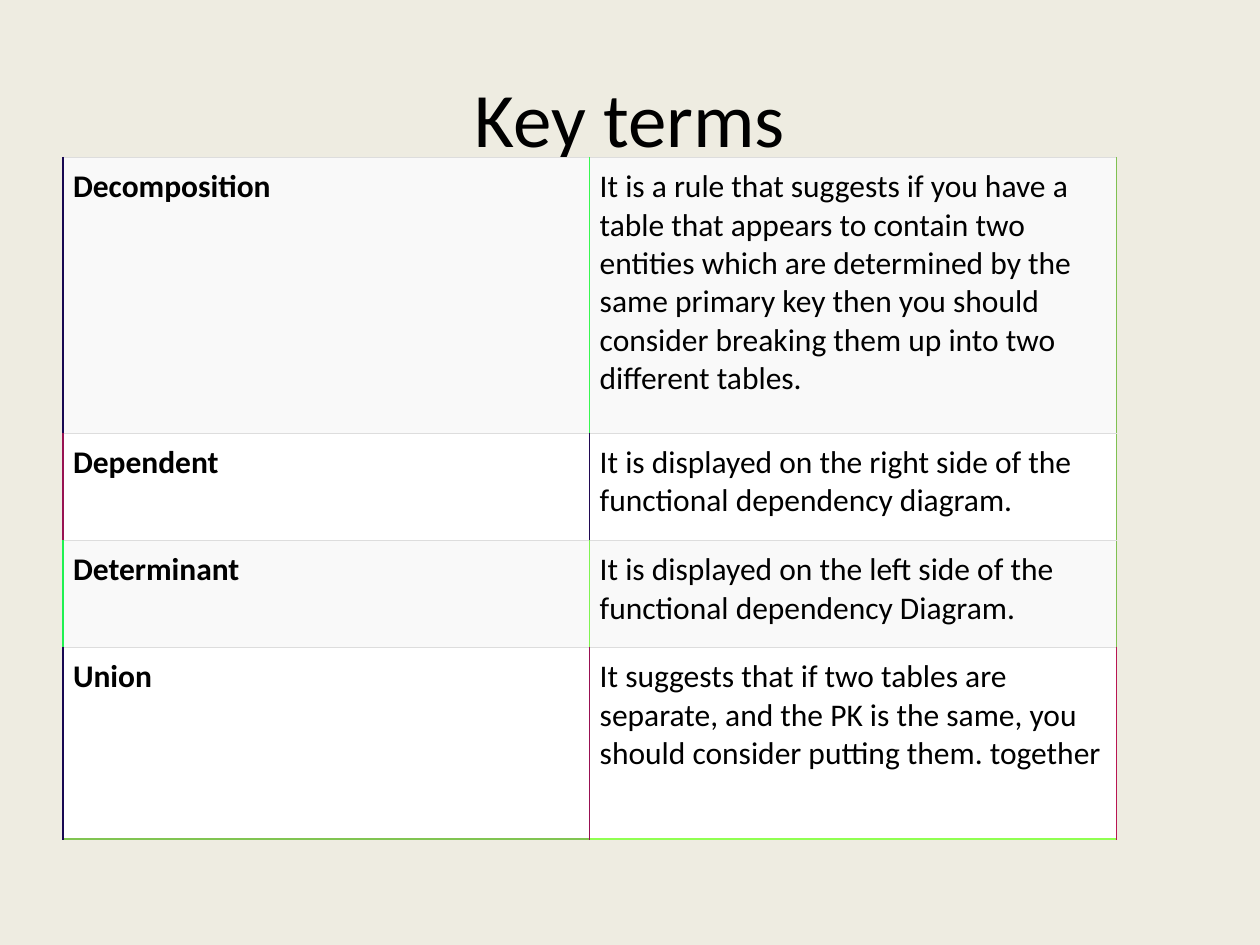
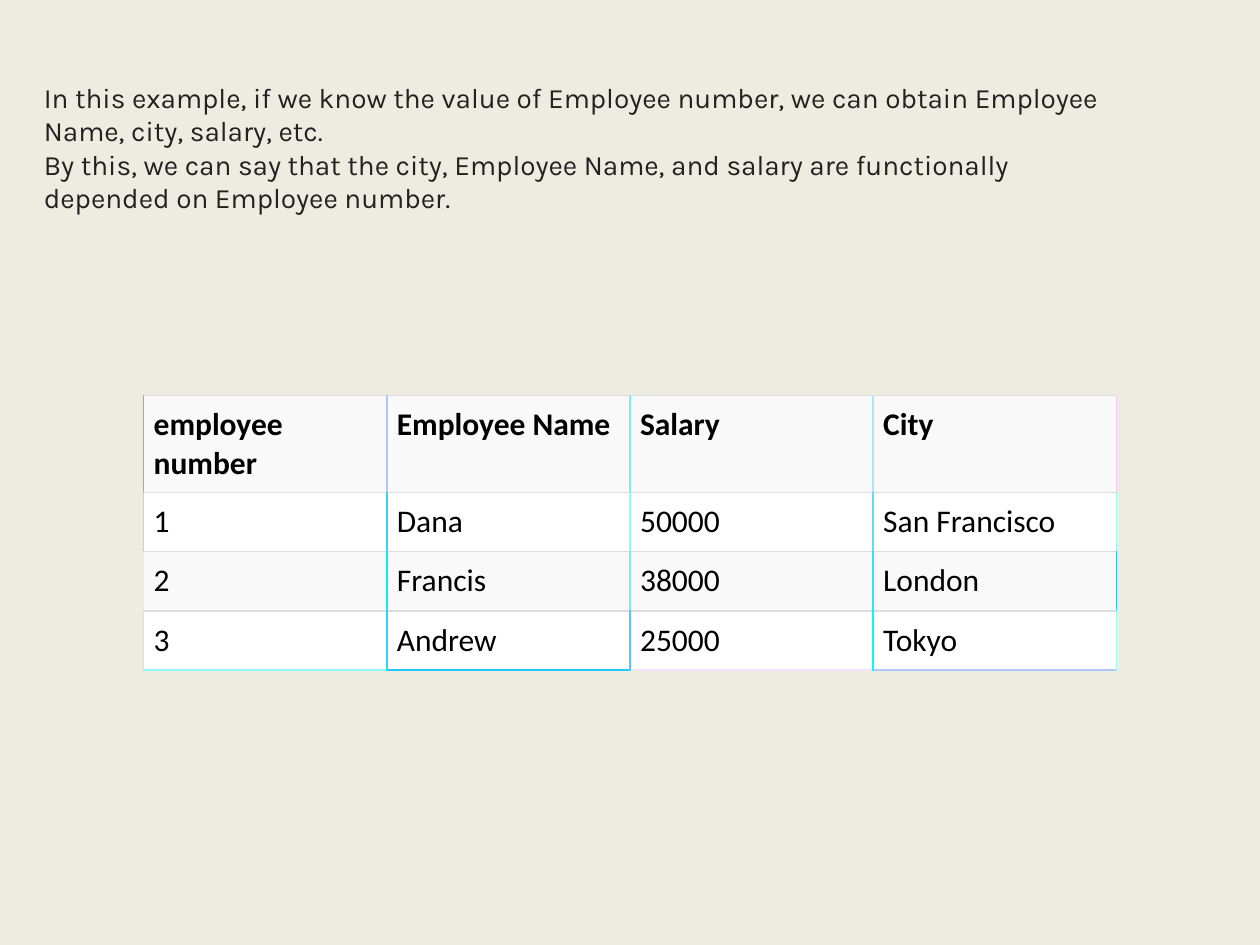
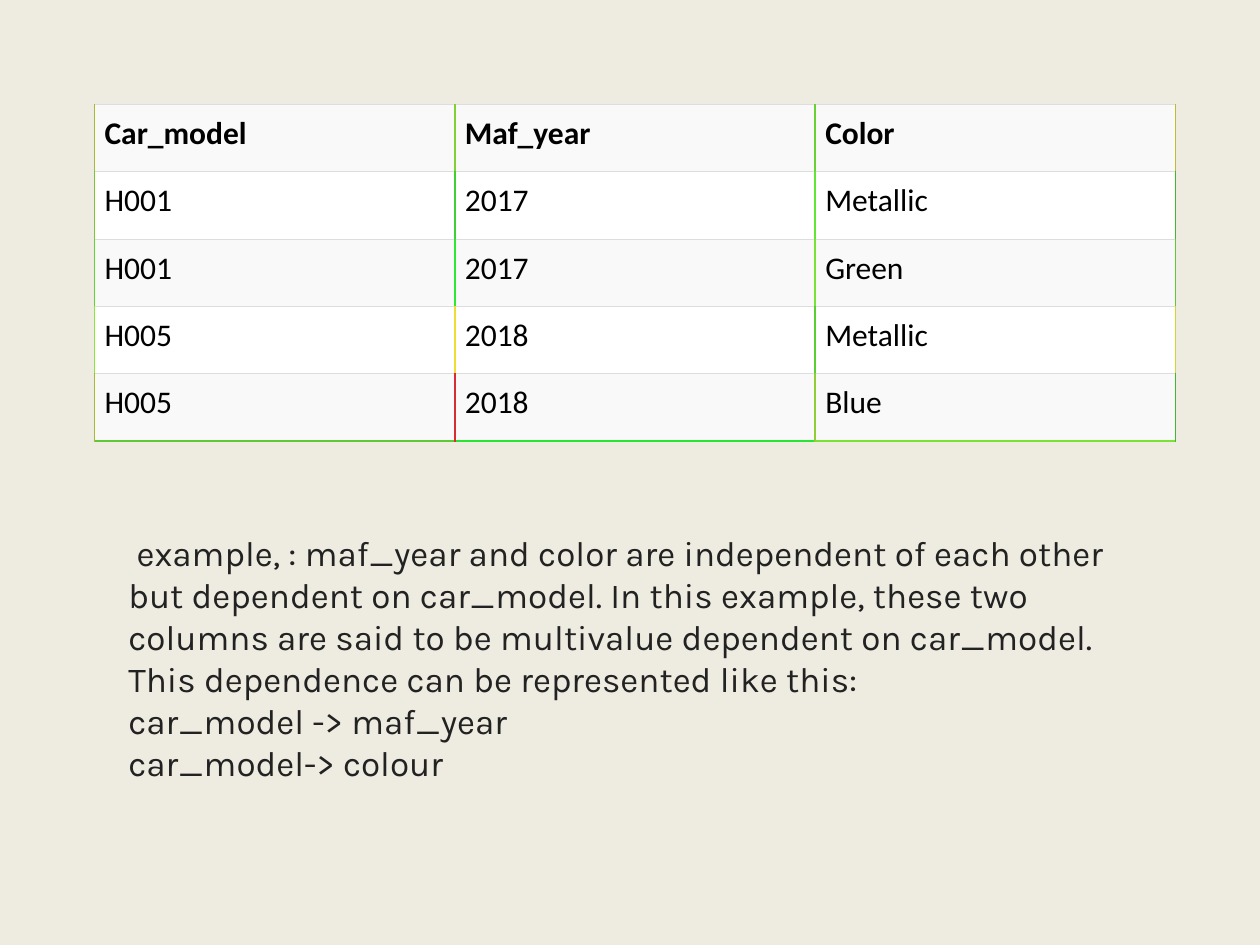
from dataclasses import dataclass
from lxml.etree import SubElement
from pptx import Presentation
from pptx.dml.color import RGBColor as Rgb
from pptx.enum.text import MSO_ANCHOR as Anchor, PP_ALIGN as Align
from pptx.oxml.ns import qn
from pptx.util import Inches, Pt


@dataclass(frozen=True)
class Theme:
    back: str = "EEECE1"
    ink: str = "000000"
    soft: str = "222222"
    rule: str = "DDDDDD"
    bands: tuple = ("F9F9F9", "FFFFFF")
    main: str = "Calibri"
    prose: str = "Karla"
    title: int = 44
    body: int = 18
    large: int = 20
    small: int = 16
    inset: float = 0.08
    thin: float = 0.75
    edge: float = 1


look = Theme()


def write(frame, text, size=look.body, font=look.main, color=look.ink,
          bold=False, align=Align.LEFT, anchor=Anchor.TOP):
    frame.word_wrap = True
    frame.vertical_anchor = anchor
    for i, line in enumerate(text.split("\n")):
        para = frame.paragraphs[0] if i == 0 else frame.add_paragraph()
        para.alignment = align
        run = para.add_run()
        run.text = line
        run.font.size = Pt(size)
        run.font.name = font
        run.font.bold = bold
        run.font.color.rgb = Rgb.from_string(color)


def label(slide, box, text, **form):
    shape = slide.shapes.add_textbox(*map(Inches, box))
    write(shape.text_frame, text, **form)


def border(cell, side, color, width):
    line = SubElement(cell._tc.get_or_add_tcPr(), qn(f"a:ln{side}"), w=str(Pt(width)))
    fill = SubElement(line, qn("a:solidFill"))
    SubElement(fill, qn("a:srgbClr"), val=color)


def grid(slide, box, rows, highs, sides, base, heads):
    count = len(rows[0])
    table = slide.shapes.add_table(len(rows), count, *map(Inches, box)).table
    table.first_row = table.horz_banding = False
    for col in table.columns:
        col.width = Inches(box[2] / count)
    for r, (row, high, side) in enumerate(zip(rows, highs, sides)):
        table.rows[r].height = Inches(high)
        edges = side.split()
        last = r == len(rows) - 1
        for c, text in enumerate(row):
            cell = table.cell(r, c)
            cell.margin_left = cell.margin_right = Inches(look.inset)
            cell.margin_top = cell.margin_bottom = Inches(look.inset)
            border(cell, "L", edges[c], look.edge)
            border(cell, "R", edges[c + 1], look.edge)
            border(cell, "T", look.rule, look.thin)
            if last:
                border(cell, "B", base.split()[c], look.edge)
            else:
                border(cell, "B", look.rule, look.thin)
            cell.fill.solid()
            cell.fill.fore_color.rgb = Rgb.from_string(look.bands[r % 2])
            write(cell.text_frame, text, bold=(c if heads == "col" else r) == 0)


def page(deck):
    slide = deck.slides.add_slide(deck.slide_layouts[6])
    slide.background.fill.solid()
    slide.background.fill.fore_color.rgb = Rgb.from_string(look.back)
    return slide


def terms(deck):
    slide = page(deck)
    label(slide, (0.5, 0.3, 9, 1.25), "Key terms", size=look.title,
          align=Align.CENTER, anchor=Anchor.MIDDLE)
    rows = [
        ("Decomposition", "It is a rule that suggests if you have a table that appears "
         "to contain two entities which are determined by the same primary key then "
         "you should consider breaking them up into two different tables."),
        ("Dependent", "It is displayed on the right side of the functional "
         "dependency diagram."),
        ("Determinant", "It is displayed on the left side of the functional "
         "dependency Diagram."),
        ("Union", "It suggests that if two tables are separate, and the PK is the "
         "same, you should consider putting them. together"),
    ]
    sides = ["180852 38F751 80C151", "981252 200952 80C151",
             "20F151 80F451 80C151", "180852 980F52 B81652"]
    grid(slide, (0.5, 1.25, 8.36, 5.41), rows, (2.19, 0.85, 0.85, 1.52),
         sides, "80C451 90FF51", "col")


def staff(deck):
    slide = page(deck)
    rows = [
        ("employee number", "Employee Name", "Salary", "City"),
        ("1", "Dana", "50000", "San Francisco"),
        ("2", "Francis", "38000", "London"),
        ("3", "Andrew", "25000", "Tokyo"),
    ]
    sides = ["30D3F9 B0C5F9 88EAF9 B0E6F9 F8C8F9",
             "80ECF9 40CCF9 90FAF9 68D7F9 A0F9F9",
             "F0E2F9 10EDF9 80ECF9 38E0F9 20C8F9",
             "A8F4F9 30D3F9 58C6F9 18F1F9 A0F9F9"]
    grid(slide, (1.14, 3.14, 7.72, 2.17), rows, (0.77, 0.47, 0.47, 0.47),
         sides, "90FAF9 20C8F9 F0E2F9 B0C5F9", "row")
    label(slide, (0.25, 0.58, 8.58, 1.18),
          "In this example, if we know the value of Employee number, we can obtain "
          "Employee Name, city, salary, etc.\n"
          "By this, we can say that the city, Employee Name, and salary are "
          "functionally depended on Employee number.",
          size=look.small, font=look.prose, color=look.soft, anchor=Anchor.MIDDLE)


def cars(deck):
    slide = page(deck)
    rows = [
        ("Car_model", "Maf_year", "Color"),
        ("H001", "2017", "Metallic"),
        ("H001", "2017", "Green"),
        ("H005", "2018", "Metallic"),
        ("H005", "2018", "Blue"),
    ]
    sides = ["A8B934 80D234 68D234 C0B934", "78C834 40D034 60E634 40B834",
             "60D434 30E634 78E334 60C834", "88E834 F0DD34 58D034 D0D634",
             "A8B934 D82B35 90CE34 40B834"]
    box = (0.75, 0.83, 8.58, 2.67)
    grid(slide, box, rows, [box[3] / len(rows)] * len(rows),
         sides, "60C834 28E534 78E334", "row")
    label(slide, (0.92, 4.17, 8.17, 2.12),
          " example, : maf_year and color are independent of each other but dependent "
          "on car_model. In this example, these two columns are said to be multivalue "
          "dependent on car_model.\n"
          "This dependence can be represented like this:\n"
          "car_model -> maf_year\n"
          "car_model-> colour",
          size=look.large, font=look.prose, color=look.soft)


def main():
    deck = Presentation()
    deck.slide_width, deck.slide_height = Inches(10), Inches(7.5)
    for build in (terms, staff, cars):
        build(deck)
    deck.save("out.pptx")


if __name__ == "__main__":
    main()
